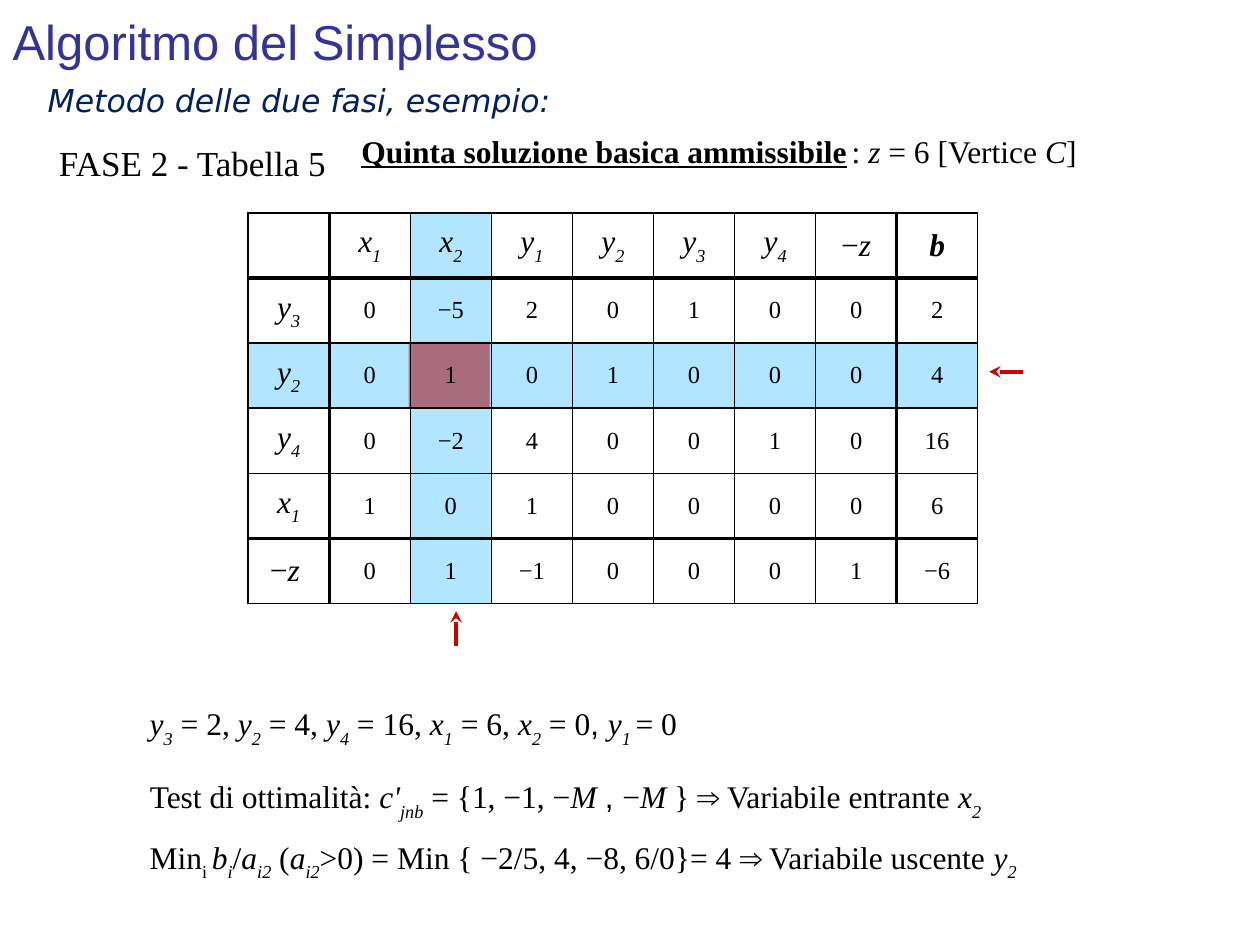
"""Build the slide on the fifth tableau of the two-phase simplex method."""
import pptx
import pptx.dml.color
import pptx.enum.shapes
import pptx.enum.text
import pptx.oxml
import pptx.oxml.ns
import pptx.util

COLORS = {
    "text": "000000",
    "title": "333399",
    "subtitle": "002060",
    "highlight": "66CCFF",
    "pivot": "CC0000",
}
SERIF = "Times New Roman"
ROWS, COLUMNS = 6, 9
LEFT, TOP, WIDTH, HEIGHT = 1.97, 1.69, 5.79, 3.1
COLUMN, ROW = WIDTH / COLUMNS, HEIGHT / ROWS
THICK_COLUMNS, THICK_ROWS = (1, 8), (1, 5)
THIN, THICK = 1, 2.25

HEADERS = ["", "*x~1~*", "*x~2~*", "*y~1~*", "*y~2~*", "*y~3~*", "*y~4~*", "−*z*", "*^b^*"]
TABLEAU = [
    ("*y~3~*", "0 −5 2 0 1 0 0 2"),
    ("*y~2~*", "0 1 0 1 0 0 0 4"),
    ("*y~4~*", "0 −2 4 0 0 1 0 16"),
    ("*x~1~*", "1 0 1 0 0 0 0 6"),
    ("−*z *", "0 1 −1 0 0 0 1 −6"),
]
NOTES = [
    (2.77, 1, 7.9, "^_Quinta soluzione basica ammissibile_^~* *~: *z* = 6 [Vertice *C*]"),
    (1.09, 5.54, 7.9, "*y~3~* = 2, *y~2~* = 4, *y~4~* = 16, *x~1~* = 6, *x~2~* = 0@, @*y~1 ~*= 0"),
    (1.09, 6.12, 8.49, "Test di ottimalità: *c'~jnb~* = {1, −1, −*M *@, @−*M *} ⇒ Variabile entrante *x~2~*"),
    (1.09, 6.6, 7.9, "Min~i ~*b~i~*/*a~i2~* (*a~i2~*>0) = Min { −2/5, 4, −8, 6/0}= 4 ⇒ Variabile uscente *y~2~*"),
]


def inches(*values):
    """Convert numbers to lengths."""
    return [pptx.util.Inches(value) for value in values]


def rgb(name):
    """Look up a named colour."""
    return pptx.dml.color.RGBColor.from_string(COLORS[name])


def add_run(paragraph, text, marks, size, font, color):
    """Add one run whose marks select italic, bold, underline, subscript or Arial."""
    run = paragraph.add_run()
    run.text = text
    run.font.size = pptx.util.Pt(size)
    run.font.name = "Arial" if "@" in marks else font
    run.font.color.rgb = rgb(color)
    run.font.italic = "*" in marks
    run.font.bold = "^" in marks
    run.font.underline = "_" in marks
    if "~" in marks:
        run.font._element.set("baseline", "-30000")


def write(paragraph, markup, size=18, font=SERIF, color="text"):
    """Write marked-up text run by run, each mark toggling its style."""
    marks, text = set(), ""
    for character in markup:
        if character not in "*^_~@":
            text += character
            continue
        if text:
            add_run(paragraph, text, marks, size, font, color)
        text = ""
        marks ^= {character}
    if text:
        add_run(paragraph, text, marks, size, font, color)


def add_title(slide, text):
    """Place and fill the title placeholder."""
    title = slide.shapes.title
    title.left, title.top, title.width, title.height = inches(0, -0.03, 9, 0.71)
    frame = title.text_frame
    frame.auto_size = pptx.enum.text.MSO_AUTO_SIZE.NONE
    frame.vertical_anchor = pptx.enum.text.MSO_ANCHOR.MIDDLE
    paragraph = frame.paragraphs[0]
    paragraph.alignment = pptx.enum.text.PP_ALIGN.LEFT
    write(paragraph, text, 28, "Arial", "title")


def add_text(slide, box, markup, alignment=pptx.enum.text.PP_ALIGN.LEFT, **style):
    """Add a wrapping one-paragraph text box."""
    frame = slide.shapes.add_textbox(*inches(*box)).text_frame
    frame.word_wrap = True
    paragraph = frame.paragraphs[0]
    paragraph.alignment = alignment
    write(paragraph, markup, **style)


def add_highlight(slide, column, row, columns, rows, color):
    """Tint a block of grid cells with a half-transparent rectangle."""
    box = inches(LEFT + column * COLUMN, TOP + row * ROW, columns * COLUMN, rows * ROW)
    shape = slide.shapes.add_shape(pptx.enum.shapes.MSO_SHAPE.RECTANGLE, *box)
    shape.shadow.inherit = False
    shape.line.fill.background()
    shape.fill.solid()
    shape.fill.fore_color.rgb = rgb(color)
    tint = shape._element.spPr.find(".//" + pptx.oxml.ns.qn("a:srgbClr"))
    pptx.oxml.ns.qn("a:alpha")
    tint.append(pptx.oxml.parse_xml(f'<a:alpha {pptx.oxml.ns.nsdecls("a")} val="50000"/>'))


def add_arrow(slide, tip, tail):
    """Add a red arrow with its head at the tip."""
    kind = pptx.enum.shapes.MSO_CONNECTOR.STRAIGHT
    connector = slide.shapes.add_connector(kind, *inches(*tip, *tail))
    connector.line.width = pptx.util.Pt(THICK)
    connector.line.color.rgb = rgb("pivot")
    namespace = pptx.oxml.ns.nsdecls("a")
    line = connector.line._get_or_add_ln()
    line.append(pptx.oxml.parse_xml(f'<a:headEnd {namespace} type="stealth"/>'))
    connector._element.spPr.append(pptx.oxml.parse_xml(f"<a:effectLst {namespace}/>"))


def set_borders(cell, row, column):
    """Draw the cell's borders, thick along the tableau's main dividers."""
    properties = cell._tc.get_or_add_tcPr()
    sides = {
        "L": column in THICK_COLUMNS,
        "R": column + 1 in THICK_COLUMNS,
        "T": row in THICK_ROWS,
        "B": row + 1 in THICK_ROWS,
    }
    for side, thick in sides.items():
        width = pptx.util.Pt(THICK if thick else THIN)
        properties.append(pptx.oxml.parse_xml(
            f'<a:ln{side} {pptx.oxml.ns.nsdecls("a")} w="{width}"><a:solidFill>'
            f'<a:srgbClr val="{COLORS["text"]}"/></a:solidFill></a:ln{side}>'))


def add_tableau(slide):
    """Add the simplex tableau as a transparent table."""
    table = slide.shapes.add_table(ROWS, COLUMNS, *inches(LEFT, TOP, WIDTH, HEIGHT)).table
    table.first_row = table.horz_banding = False
    lines = [HEADERS] + [[basic] + values.split() for basic, values in TABLEAU]
    for row, line in enumerate(lines):
        for column, markup in enumerate(line):
            cell = table.cell(row, column)
            set_borders(cell, row, column)
            cell.fill.background()
            cell.vertical_anchor = pptx.enum.text.MSO_ANCHOR.MIDDLE
            paragraph = cell.text_frame.paragraphs[0]
            paragraph.alignment = pptx.enum.text.PP_ALIGN.CENTER
            write(paragraph, markup, 14 if row and column else 18)


def main():
    """Build and save the slide."""
    presentation = pptx.Presentation()
    presentation.slide_width, presentation.slide_height = inches(10, 7.5)
    slide = presentation.slides.add_slide(presentation.slide_layouts[5])
    add_title(slide, "Algoritmo del Simplesso")
    add_text(slide, (0.28, 0.59, 8.52, 0.4), "*Metodo delle due fasi, esempio:*",
             font="DejaVu Sans", color="subtitle")
    add_text(slide, (0.37, 1.07, 3.97, 0.43), "FASE 2 - Tabella 5", size=20)
    add_highlight(slide, 0, 2, COLUMNS, 1, "highlight")
    add_highlight(slide, 1.99, 0, 1, ROWS, "highlight")
    add_highlight(slide, 1.98, 1.98, 1, 1, "pivot")
    add_arrow(slide, (3.62, 4.85), (3.62, 5.13))
    add_arrow(slide, (7.85, 2.95), (8.12, 2.95))
    add_tableau(slide)
    for left, top, width, markup in NOTES:
        add_text(slide, (left, top, width, 0.5), markup, pptx.enum.text.PP_ALIGN.JUSTIFY)
    presentation.save("out.pptx")


if __name__ == "__main__":
    main()
